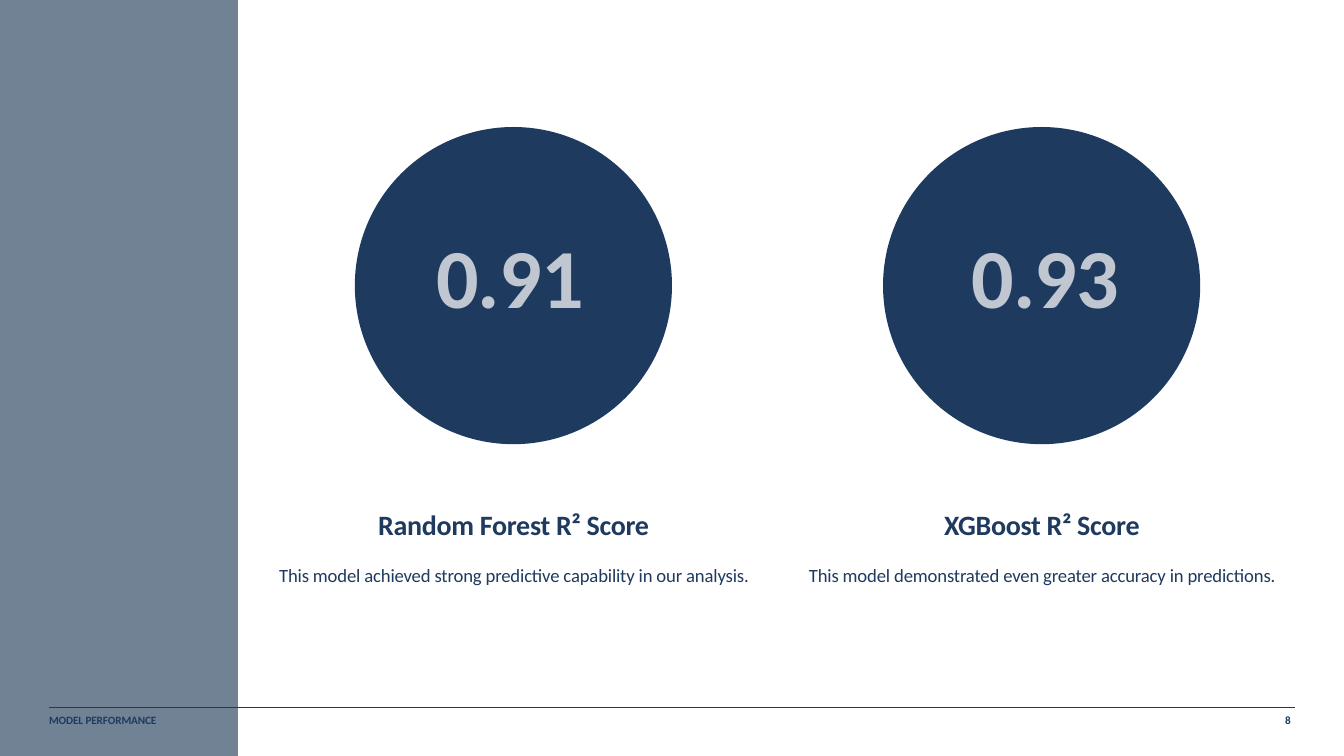
from dataclasses import dataclass

from lxml import etree
from pptx import Presentation
from pptx.dml.color import RGBColor
from pptx.enum.shapes import MSO_CONNECTOR, MSO_SHAPE
from pptx.enum.text import MSO_AUTO_SIZE, PP_ALIGN
from pptx.oxml.ns import qn
from pptx.slide import Slide
from pptx.util import Emu, Pt

LEFT, CENTER, RIGHT = PP_ALIGN.LEFT, PP_ALIGN.CENTER, PP_ALIGN.RIGHT
OVAL, RECTANGLE = MSO_SHAPE.OVAL, MSO_SHAPE.RECTANGLE
STRAIGHT = MSO_CONNECTOR.STRAIGHT
FIT_SHAPE = MSO_AUTO_SIZE.SHAPE_TO_FIT_TEXT

EMU_PER_PX = 9144  # 100 px to the inch
SLIDE_WIDTH, SLIDE_HEIGHT = 2000, 1125
SIDEBAR_WIDTH = 354
MARGIN = 73
COLUMN_LEFT, COLUMN_WIDTH, COLUMN_PITCH = 388, 753, 786
CIRCLE_TOP, CIRCLE_SIZE = 189, 472
FOOTER_TOP = 1058


@dataclass(frozen=True)
class TextStyle:
    size: float
    line_height: float
    color: RGBColor
    bold: bool = False
    tracking: int = 0  # hundredths of a point


@dataclass(frozen=True)
class Theme:
    font: str
    navy: RGBColor
    slate: RGBColor
    value: TextStyle
    heading: TextStyle
    body: TextStyle
    footer: TextStyle
    page: TextStyle


@dataclass(frozen=True)
class Box:
    left: int
    top: int
    width: int
    height: int

    def emu(self) -> tuple[Emu, Emu, Emu, Emu]:
        return px(self.left), px(self.top), px(self.width), px(self.height)


@dataclass(frozen=True)
class Score:
    value: str
    value_left: int
    value_width: int
    heading: str
    description: str


NAVY = RGBColor(0x1E, 0x3A, 0x5F)
THEME = Theme(
    font="Calibri",
    navy=NAVY,
    slate=RGBColor(0x70, 0x82, 0x94),
    value=TextStyle(90, 99, RGBColor(0xC0, 0xC7, 0xD1), True, -90),
    heading=TextStyle(30, 33, NAVY, True, -30),
    body=TextStyle(20, 28, NAVY, False, -20),
    footer=TextStyle(12, 16.8, NAVY, True, -10),
    page=TextStyle(12, 16.8, NAVY, True),
)

SCORES = (
    Score("0.91", 585, 348, "Random Forest R² Score",
          "This model achieved strong predictive capability in our analysis."),
    Score("0.93", 1383, 345, "XGBoost R² Score",
          "This model demonstrated even greater accuracy in predictions."),
)


def px(length: int) -> Emu:
    return Emu(length * EMU_PER_PX)


def add_text(slide: Slide, box: Box, text: str, style: TextStyle,
             alignment: PP_ALIGN = CENTER, wrap: bool = True) -> None:
    text_frame = slide.shapes.add_textbox(*box.emu()).text_frame
    text_frame.margin_left = text_frame.margin_right = 0
    text_frame.margin_top = text_frame.margin_bottom = 0
    text_frame.word_wrap = wrap
    text_frame.auto_size = FIT_SHAPE
    text_frame.text = text
    paragraph = text_frame.paragraphs[0]
    paragraph.alignment = alignment
    paragraph.line_spacing = Pt(style.line_height)
    run = paragraph.runs[0]
    run.font.name = THEME.font
    run.font.size = Pt(style.size)
    run.font.bold = style.bold
    run.font.color.rgb = style.color
    if style.tracking:
        run._r.get_or_add_rPr().set("spc", str(style.tracking))


def add_solid(slide: Slide, kind: MSO_SHAPE, box: Box, color: RGBColor) -> None:
    shape = slide.shapes.add_shape(kind, *box.emu())
    shape.shadow.inherit = False
    shape.fill.solid()
    shape.fill.fore_color.rgb = color
    shape.line.fill.background()


def add_rule(slide: Slide, left: int, right: int, top: int) -> None:
    connector = slide.shapes.add_connector(
        STRAIGHT, px(left), px(top), px(right), px(top))
    connector.line.color.rgb = THEME.navy
    connector.line.width = Pt(0.75)
    etree.SubElement(connector._element.spPr, qn("a:effectLst"))


def add_score(slide: Slide, score: Score, left: int) -> None:
    circle_left = left + (COLUMN_WIDTH - CIRCLE_SIZE) // 2
    add_solid(slide, OVAL,
              Box(circle_left, CIRCLE_TOP, CIRCLE_SIZE, CIRCLE_SIZE), THEME.navy)
    add_text(slide, Box(score.value_left, 347, score.value_width, 152),
             score.value, THEME.value)
    add_text(slide, Box(left, 759, COLUMN_WIDTH, 52), score.heading, THEME.heading)
    add_text(slide, Box(left, 834, COLUMN_WIDTH, 78), score.description, THEME.body)


def main() -> None:
    presentation = Presentation()
    presentation.slide_width = px(SLIDE_WIDTH)
    presentation.slide_height = px(SLIDE_HEIGHT)
    slide = presentation.slides.add_slide(presentation.slide_layouts[6])

    # Score columns
    for index, score in enumerate(SCORES):
        add_score(slide, score, COLUMN_LEFT + index * COLUMN_PITCH)

    # Sidebar
    add_solid(slide, RECTANGLE, Box(0, 0, SIDEBAR_WIDTH, SLIDE_HEIGHT), THEME.slate)

    # Footer
    add_rule(slide, MARGIN, SLIDE_WIDTH - MARGIN, 1052)
    add_text(slide, Box(MARGIN, FOOTER_TOP, SIDEBAR_WIDTH - MARGIN, 24),
             "MODEL PERFORMANCE", THEME.footer, LEFT)
    add_text(slide, Box(1904, FOOTER_TOP, 17, 21), "8", THEME.page, RIGHT, wrap=False)

    presentation.save("out.pptx")


if __name__ == "__main__":
    main()
